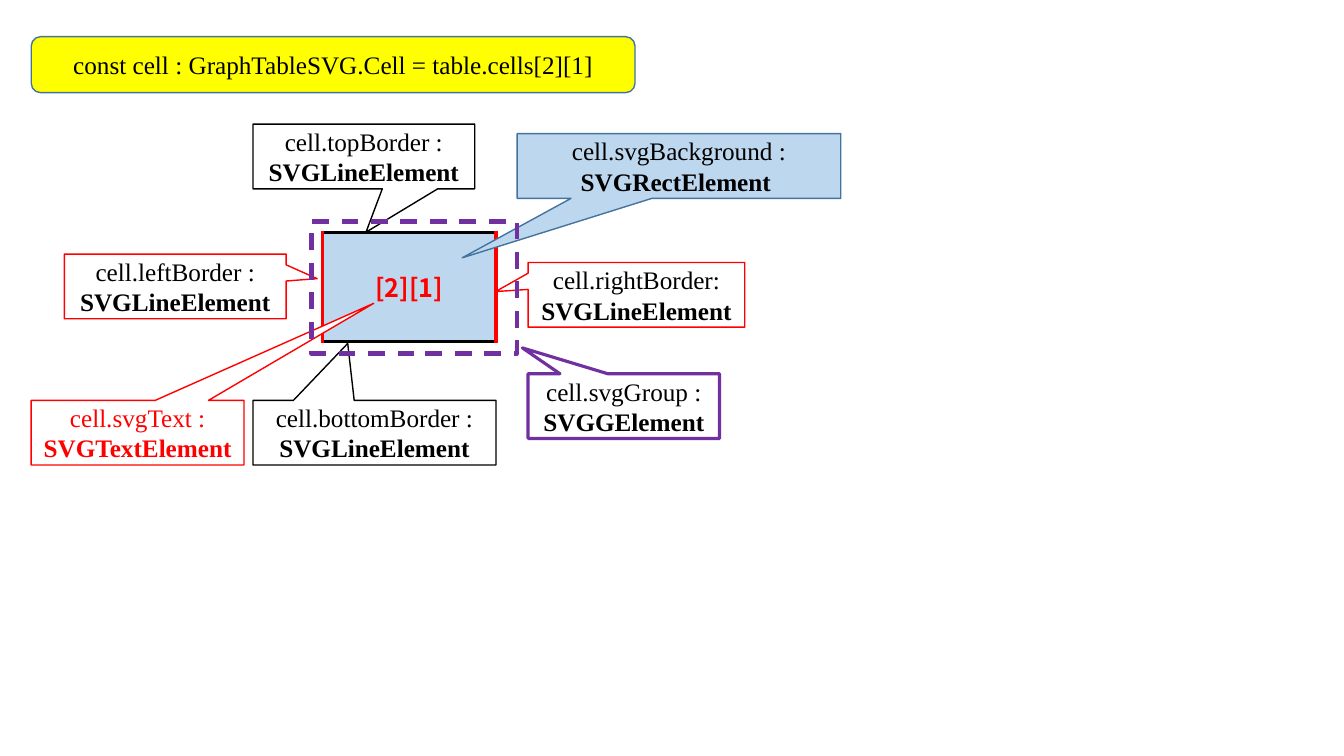
"""Build a slide that maps one table cell to its SVG elements."""
from collections import namedtuple

from lxml.etree import SubElement
from pptx import Presentation
from pptx.dml.color import RGBColor
from pptx.enum.dml import MSO_LINE
from pptx.enum.shapes import MSO_SHAPE as Preset
from pptx.enum.text import MSO_ANCHOR as Anchor, PP_ALIGN as Align
from pptx.oxml.ns import qn
from pptx.util import Pt

BLACK = RGBColor(0, 0, 0)
WHITE = RGBColor(255, 255, 255)
RED = RGBColor(255, 0, 0)
YELLOW = RGBColor(255, 255, 0)
PALE_BLUE = RGBColor(0xBD, 0xD7, 0xEE)
STEEL = RGBColor(0x43, 0x73, 0x9E)
PURPLE = RGBColor(0x70, 0x30, 0xA0)
SERIF = "Times New Roman"
SANS = "Noto Sans CJK JP"
CALLOUT_HEIGHT = 46.2

Box = namedtuple("Box", "left top width height")
Callout = namedtuple("Callout", "left top width tip label kind fill line weight color")

CALLOUTS = [
    Callout(158.7, 0.2, 158.4, (0.01, 1.17), "cell.topBorder : ", "SVGLineElement",
            WHITE, BLACK, 1, BLACK),
    Callout(158.7, 197.5, 173.6, (-0.11, -1.38), "cell.bottomBorder : ", "SVGLineElement",
            WHITE, BLACK, 1, BLACK),
    Callout(355.2, 99, 154.8, (-0.65, -0.05), "cell.rightBorder: ", "SVGLineElement",
            WHITE, RED, 1, BLACK),
    Callout(24, 93, 158.4, (0.64, -0.12), "cell.leftBorder : ", "SVGLineElement",
            WHITE, RED, 1, BLACK),
    Callout(0.3, 197.5, 152, (1.11, -2), "cell.svgText : ", "SVGTextElement",
            WHITE, RED, 1, RED),
    Callout(347.4, 7, 231.1, (-0.67, 1.42), "cell.svgBackground : ", "SVGRectElement ",
            PALE_BLUE, STEEL, 1, BLACK),
    Callout(355.2, 178.5, 136.8, (-0.53, -0.9), "cell.svgGroup : ", "SVGGElement",
            WHITE, PURPLE, 2.25, BLACK),
]


def inside(box, left, top, width, height):
    """Return a box whose position is relative to an outer box."""
    return Box(box.left + left, box.top + top, width, height)


def in_points(box):
    """Return the four lengths of a box as points."""
    return [Pt(length) for length in box]


def add_span(para, text, color, name=SERIF, bold=False):
    """Add one formatted span to a centred paragraph."""
    para.alignment = Align.CENTER
    span = para.add_run()
    span.text = text
    for key, value in {"name": name, "size": Pt(18), "bold": bold}.items():
        setattr(span.font, key, value)
    span.font.color.rgb = color


def add_panel(page, preset, box, fill, line, weight):
    """Add an outlined shape, filled when a fill is given."""
    shape = page.shapes.add_shape(preset, *in_points(box))
    shape.shadow.inherit = False
    if fill is None:
        shape.fill.background()
    else:
        shape.fill.solid()
        shape.fill.fore_color.rgb = fill
    shape.line.color.rgb = line
    shape.line.width = Pt(weight)
    frame = shape.text_frame
    for key, value in {"word_wrap": True, "vertical_anchor": Anchor.MIDDLE}.items():
        setattr(frame, key, value)
    return shape


def add_banner(page, box):
    """Add the declaration of the cell variable."""
    banner = add_panel(page, Preset.FLOWCHART_ALTERNATE_PROCESS, box, YELLOW, STEEL, 1)
    add_span(banner.text_frame.paragraphs[0],
             "const cell : GraphTableSVG.Cell = table.cells[2][1]", BLACK)


def add_cell_table(page, box):
    """Add the single-cell table with its four borders."""
    table = page.shapes.add_table(1, 1, *in_points(box)).table
    table.first_row = table.horz_banding = False
    cell = table.cell(0, 0)
    cell.vertical_anchor = Anchor.MIDDLE
    properties = cell._tc.get_or_add_tcPr()
    for side, color in {"L": RED, "R": RED, "T": BLACK, "B": BLACK}.items():
        border = SubElement(properties, qn(f"a:ln{side}"), w=str(Pt(3)))
        SubElement(SubElement(border, qn("a:solidFill")), qn("a:srgbClr"), val=str(color))
    cell.fill.solid()
    cell.fill.fore_color.rgb = PALE_BLUE
    add_span(cell.text_frame.paragraphs[0], "[2][1]", RED, SANS, True)


def add_callout(page, box, item):
    """Add a callout naming a property and its element type."""
    place = inside(box, item.left, item.top, item.width, CALLOUT_HEIGHT)
    shape = add_panel(page, Preset.RECTANGULAR_CALLOUT, place,
                      item.fill, item.line, item.weight)
    for index, offset in enumerate(item.tip):
        shape.adjustments[index] = offset
    para = shape.text_frame.paragraphs[0]
    add_span(para, item.label, item.color)
    add_span(para, item.kind, item.color, bold=True)


def add_diagram(page, box):
    """Add the cell, its callouts and the dashed group frame."""
    add_cell_table(page, inside(box, 208.4, 77.5, 124, 78))
    for item in CALLOUTS:
        add_callout(page, box, item)
    group = add_panel(page, Preset.RECTANGLE, inside(box, 200.5, 69.7, 147, 94.3),
                      None, PURPLE, 3)
    group.line.dash_style = MSO_LINE.DASH


deck = Presentation()
deck.slide_width, deck.slide_height = Pt(960), Pt(540)
page = deck.slides.add_slide(deck.slide_layouts[6])
add_banner(page, Box(22.3, 26.2, 431.3, 40))
add_diagram(page, Box(22, 88.5, 580, 244))
deck.save("out.pptx")
